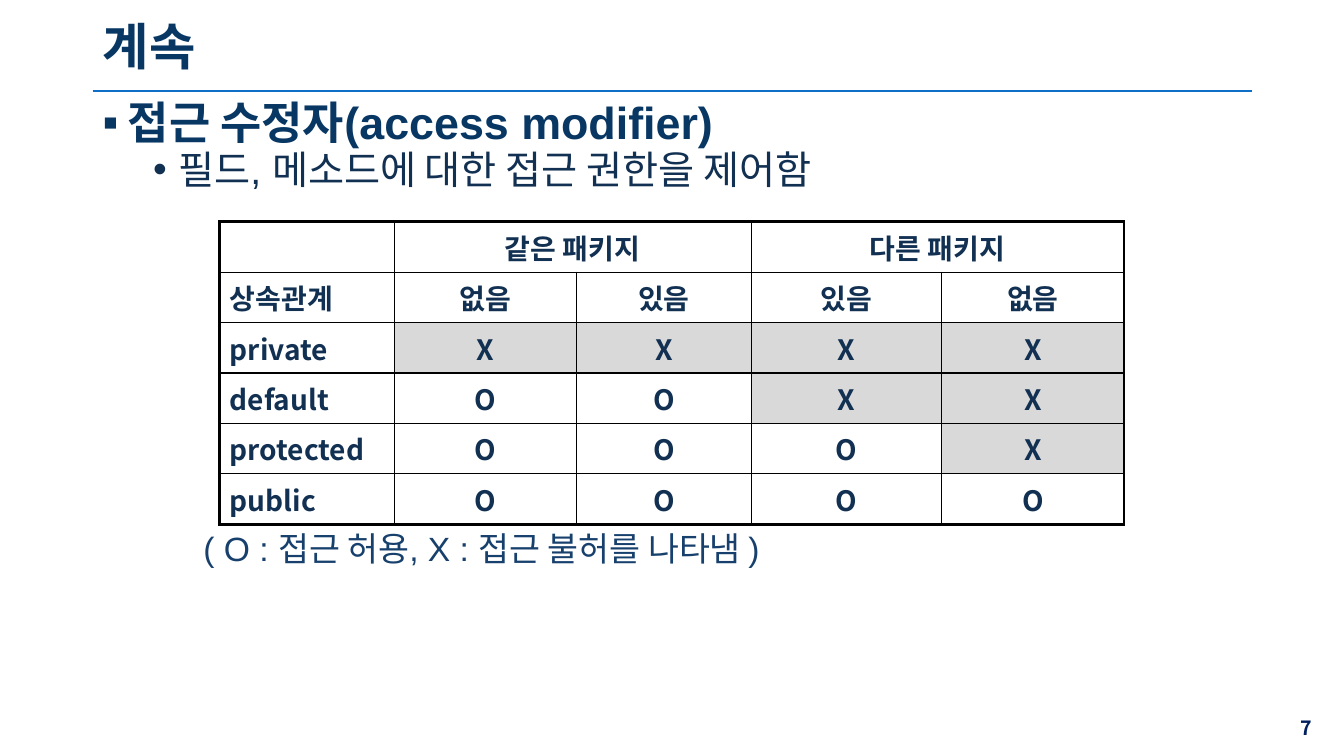
from lxml.etree import SubElement
from pptx import Presentation
from pptx.dml.color import RGBColor
from pptx.enum.shapes import MSO_CONNECTOR
from pptx.enum.text import MSO_ANCHOR, PP_ALIGN
from pptx.oxml import parse_xml
from pptx.oxml.ns import nsdecls, qn
from pptx.util import Inches, Pt

TITLE = "계속"
BULLETS = [
    ("접근 수정자(access modifier)", "▪", 32, "navy", True, 0.25, 0),
    ("필드, 메소드에 대한 접근 권한을 제어함", "•", 28, "ink", False, 0.75, 1),
]
NOTE = "( O : 접근 허용, X : 접근 불허를 나타냄 )"
PAGE_NUMBER = "7"
ACCESS = [
    ("", "같은 패키지", "", "다른 패키지", ""),
    ("상속관계", "없음", "있음", "있음", "없음"),
    ("private", "X", "X", "X", "X"),
    ("default", "O", "O", "X", "X"),
    ("protected", "O", "O", "O", "X"),
    ("public", "O", "O", "O", "O"),
]
PACKAGE_SPANS = [(1, 2), (3, 4)]
COLUMN_WIDTHS = [1.73, 1.81, 1.73, 1.89, 1.81]
ROW_HEIGHT = 0.5
TABLE_LEFT, TABLE_TOP = 2.18, 2.2
WIDTH, HEIGHT = 13.33, 7.5
MARGIN = 0.92
CONTENT_WIDTH = 11.5
LATIN, KOREAN = "Arial", "Noto Sans CJK KR"
THIN, THICK = 1, 2.25
COLORS = {
    "navy": "083763", "ink": "113052", "note": "17406D", "number": "002060",
    "rule": "0F6FC6", "denied": "D9D9D9", "border": "000000",
}


def color(name):
    return RGBColor.from_string(COLORS[name])


def write(para, text, size, tint, bold=False, font=LATIN, align=PP_ALIGN.LEFT):
    para.text = text
    para.alignment = align
    for span in para.runs:
        span.font.size = Pt(size)
        span.font.bold = bold
        span.font.name = font
        span.font.color.rgb = color(tint)
        SubElement(span.font._element, qn("a:ea")).set("typeface", KOREAN)


def add_box(page, left, top, width, height, anchor=MSO_ANCHOR.TOP):
    box = page.shapes.add_textbox(*map(Inches, (left, top, width, height)))
    box.text_frame.word_wrap = True
    box.text_frame.vertical_anchor = anchor
    return box.text_frame


def add_bullet(para, mark, indent):
    properties = para._p.get_or_add_pPr()
    properties.set("marL", str(Inches(indent)))
    properties.set("indent", str(Inches(-0.25)))
    SubElement(properties, qn("a:buFont")).set("typeface", LATIN)
    SubElement(properties, qn("a:buChar")).set("char", mark)


def add_borders(cell, widths):
    properties = cell._tc.get_or_add_tcPr()
    for position, (side, points) in enumerate(widths.items()):
        properties.insert(position, parse_xml(
            f'<a:ln{side} {nsdecls("a")} w="{Pt(points)}"><a:solidFill>'
            f'<a:srgbClr val="{COLORS["border"]}"/></a:solidFill></a:ln{side}>'))


def add_access_table(page):
    rows, columns = len(ACCESS), len(COLUMN_WIDTHS)
    table = page.shapes.add_table(
        rows, columns, Inches(TABLE_LEFT), Inches(TABLE_TOP),
        Inches(sum(COLUMN_WIDTHS)), Inches(ROW_HEIGHT * rows)).table
    table.first_row = table.horz_banding = False
    for column, width in zip(table.columns, COLUMN_WIDTHS):
        column.width = Inches(width)
    for row in table.rows:
        row.height = Inches(ROW_HEIGHT)
    for first, last in PACKAGE_SPANS:
        table.cell(0, first).merge(table.cell(0, last))
    for r, values in enumerate(ACCESS):
        for c, value in enumerate(values):
            cell = table.cell(r, c)
            if cell.is_spanned:
                continue
            span_width = cell.span_width if cell.is_merge_origin else 1
            cell.vertical_anchor = MSO_ANCHOR.TOP
            write(cell.text_frame.paragraphs[0], value, 20, "ink", True, KOREAN,
                  PP_ALIGN.CENTER if c else PP_ALIGN.LEFT)
            if value == "X":
                cell.fill.solid()
                cell.fill.fore_color.rgb = color("denied")
            else:
                cell.fill.background()
            add_borders(cell, {
                "L": THICK if c == 0 else THIN,
                "R": THICK if c + span_width == columns else THIN,
                "T": THICK if r == 0 else THIN,
                "B": THICK if r == rows - 1 else THIN,
            })


def main():
    deck = Presentation()
    deck.slide_width, deck.slide_height = Inches(WIDTH), Inches(HEIGHT)
    page = deck.slides.add_slide(deck.slide_layouts[6])

    rule = page.shapes.add_connector(
        MSO_CONNECTOR.STRAIGHT, Inches(MARGIN), Inches(0.9),
        Inches(MARGIN + CONTENT_WIDTH), Inches(0.9))
    rule.line.color.rgb = color("rule")
    rule.line.width = Pt(1.5)
    SubElement(rule._element.spPr, qn("a:effectLst"))

    title = add_box(page, MARGIN, 0.14, CONTENT_WIDTH, 0.7, MSO_ANCHOR.MIDDLE)
    write(title.paragraphs[0], TITLE, 36, "navy", True)
    title.paragraphs[0].line_spacing = 0.9

    body = add_box(page, MARGIN, 0.95, CONTENT_WIDTH, 1.2)
    for index, (text, mark, size, tint, bold, indent, gap) in enumerate(BULLETS):
        para = body.add_paragraph() if index else body.paragraphs[0]
        write(para, text, size, tint, bold)
        para.line_spacing = 0.9
        para.space_before = Pt(gap)
        add_bullet(para, mark, indent)

    add_access_table(page)

    note = add_box(page, MARGIN + 1, 5.19, CONTENT_WIDTH - 1, 0.6)
    write(note.paragraphs[0], NOTE, 24, "note")

    number = add_box(page, MARGIN + CONTENT_WIDTH, 7.02, 0.69, 0.4, MSO_ANCHOR.MIDDLE)
    write(number.paragraphs[0], PAGE_NUMBER, 14, "number", True, KOREAN, PP_ALIGN.RIGHT)

    deck.save("out.pptx")


if __name__ == "__main__":
    main()
